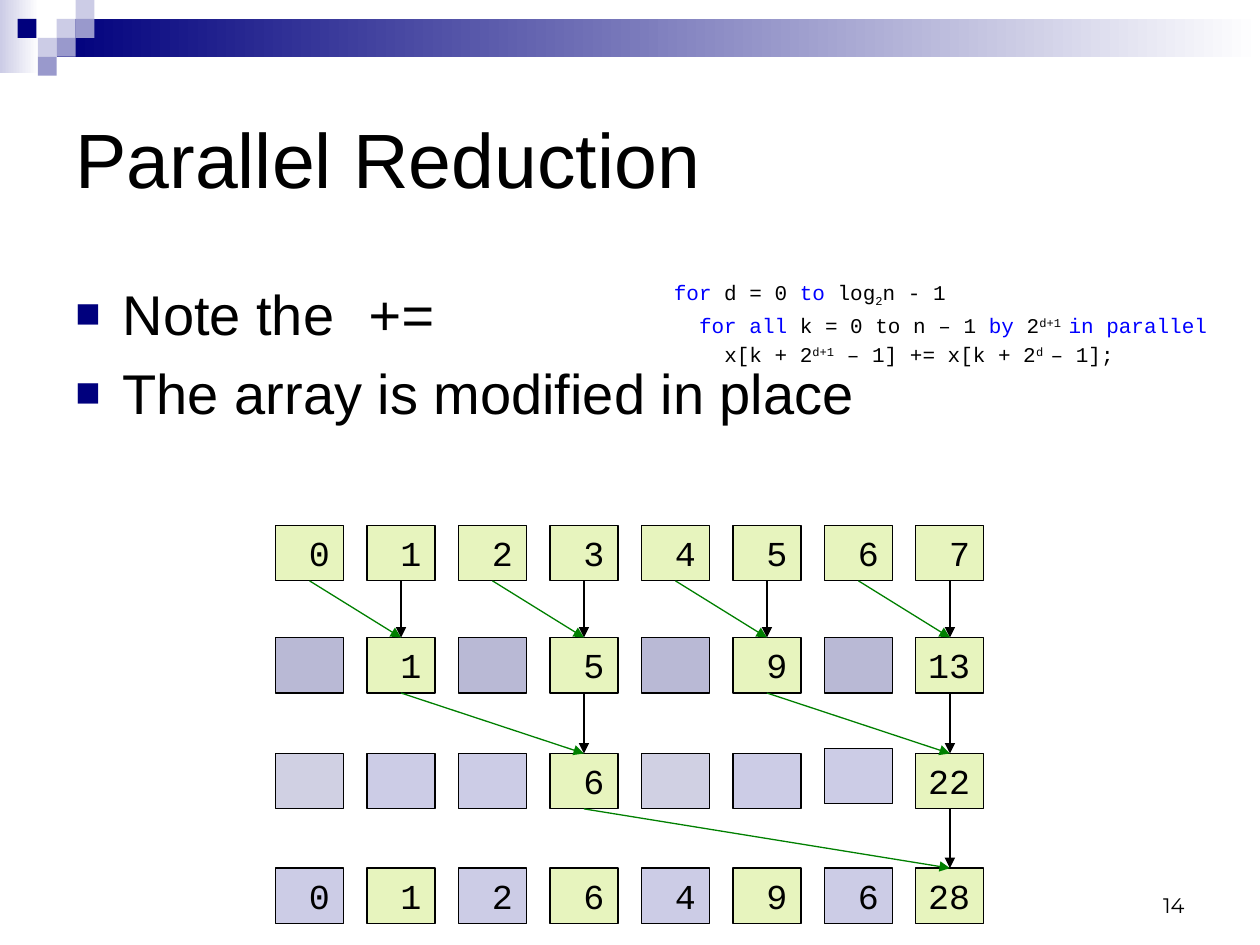
from lxml.etree import SubElement
from pptx import Presentation
from pptx.dml.color import RGBColor
from pptx.enum.shapes import MSO_CONNECTOR, MSO_SHAPE
from pptx.enum.text import MSO_ANCHOR, MSO_AUTO_SIZE, PP_ALIGN
from pptx.oxml.ns import qn
from pptx.util import Inches, Pt

BLACK = RGBColor(0x00, 0x00, 0x00)
WHITE = RGBColor(0xFF, 0xFF, 0xFF)
NAVY = RGBColor(0x00, 0x00, 0x7D)
PERIWINKLE = RGBColor(0x99, 0x99, 0xCC)
LAVENDER = RGBColor(0xCC, 0xCC, 0xE6)
PALE = RGBColor(0xD0, 0xD0, 0xE3)
DUSK = RGBColor(0xB9, 0xB9, 0xD5)
LIME = RGBColor(0xE7, 0xF4, 0xBE)
GREEN = RGBColor(0x00, 0x80, 0x00)
BLUE = RGBColor(0x00, 0x00, 0xFF)

# The slide is a grid of 100 columns by 75 rows
COLUMNS, ROWS = 100, 75
SANS, MONO = "Arial", "Courier New"


def set_all(target, values):
    for name, value in values.items():
        setattr(target, name, value)


class SlideBuilder:
    line_width = Pt(0.75)

    def __init__(self, presentation):
        self.slide = presentation.slides.add_slide(presentation.slide_layouts[6])
        self.column = presentation.slide_width / COLUMNS
        self.row = presentation.slide_height / ROWS

    def place(self, *lengths):
        units = (self.column, self.row) * 2
        return [round(length * unit) for length, unit in zip(lengths, units)]

    def box(self, area, fill, end_fill=None, outline=None):
        shape = self.slide.shapes.add_shape(MSO_SHAPE.RECTANGLE, *self.place(*area))
        shape.shadow.inherit = False
        if end_fill is None:
            shape.fill.solid()
            shape.fill.fore_color.rgb = fill
        else:
            shape.fill.gradient()
            shape.fill.gradient_angle = 0
            for stop, color, position in zip(shape.fill.gradient_stops, (fill, end_fill), (0, 1)):
                stop.color.rgb = color
                stop.position = position
        if outline is None:
            shape.line.fill.background()
        else:
            shape.line.color.rgb = outline
            shape.line.width = self.line_width
        return shape

    def cell(self, area, fill, label):
        shape = self.box(area, fill, outline=BLACK)
        if label:
            set_all(shape.text_frame, {"word_wrap": False, "vertical_anchor": MSO_ANCHOR.TOP,
                                       "auto_size": MSO_AUTO_SIZE.SHAPE_TO_FIT_TEXT})
            paragraph = shape.text_frame.paragraphs[0]
            paragraph.alignment = PP_ALIGN.LEFT
            self.run(paragraph, f"{label:>2}", {"size": Pt(20), "name": MONO})

    def run(self, paragraph, text, font, color=BLACK, baseline=0):
        run = paragraph.add_run()
        run.text = text
        set_all(run.font, font)
        run.font.color.rgb = color
        if baseline:
            run.font._element.set("baseline", str(baseline * 1000))

    def text(self, area, font, lines, anchor=MSO_ANCHOR.TOP, align=PP_ALIGN.LEFT, styles=()):
        frame = self.slide.shapes.add_textbox(*self.place(*area)).text_frame
        set_all(frame, {"word_wrap": True, "vertical_anchor": anchor})
        for index, runs in enumerate(lines):
            paragraph = frame.add_paragraph() if index else frame.paragraphs[0]
            paragraph.alignment = align
            if styles:
                self.paragraph_style(paragraph, **styles[index])
            for text, *options in runs:
                extra = dict(options[0]) if options else {}
                self.run(paragraph, text, font | extra.pop("font", {}), **extra)

    def paragraph_style(self, paragraph, margin=0, hanging=0, bullet=None):
        properties = paragraph._p.get_or_add_pPr()
        properties.set("marL", str(round(margin * self.column)))
        properties.set("indent", str(round(-hanging * self.column)))
        before = SubElement(properties, qn("a:spcBef"))
        SubElement(before, qn("a:spcPct"), val="20000")
        if bullet:
            color = SubElement(properties, qn("a:buClr"))
            SubElement(color, qn("a:srgbClr"), val=str(NAVY))
            SubElement(properties, qn("a:buSzPct"), val="75000")
            SubElement(properties, qn("a:buFont"), typeface=SANS)
            SubElement(properties, qn("a:buChar"), char=bullet)

    def arrow(self, start, end, color):
        connector = self.slide.shapes.add_connector(
            MSO_CONNECTOR.STRAIGHT, *self.place(*start, *end))
        connector.line.color.rgb = color
        connector.line.width = self.line_width
        properties = connector.element.spPr
        SubElement(properties.find(qn("a:ln")), qn("a:tailEnd"), type="triangle")
        SubElement(properties, qn("a:effectLst"))


presentation = Presentation()
presentation.slide_width, presentation.slide_height = Inches(10), Inches(7.5)
builder = SlideBuilder(presentation)

# Header band and its checkered squares
builder.box((0, 0, 3.1, 5.8), LAVENDER, WHITE)
builder.box((4.5, 1.5, 95.5, 3), NAVY, WHITE)
SQUARE = 1.5
for column, row, color in [(3, 1, LAVENDER), (4, 0, LAVENDER), (4, 1, PERIWINKLE),
                           (2, 2, LAVENDER), (0.93, 1, NAVY), (3, 2, PERIWINKLE),
                           (2, 3, PERIWINKLE)]:
    builder.box((column * SQUARE, row * SQUARE, SQUARE, SQUARE), color)

# Title, bullets and slide number
bullet_style = {"margin": 3.75, "hanging": 3.75, "bullet": "■"}
builder.text((5, 21.7, 90, 6.8), {"size": Pt(32), "name": SANS},
             [[("Note the",), (" +=", {"font": {"name": MONO}})],
              [("The array is modified in place",)]], styles=[bullet_style] * 2)
builder.text((5, 5, 90, 15), {"size": Pt(44), "name": SANS},
             [[("Parallel Reduction",)]], MSO_ANCHOR.MIDDLE)
builder.text((71.7, 68.3, 23.3, 5), {"size": Pt(12), "name": "Montserrat"},
             [[("14",)]], MSO_ANCHOR.BOTTOM, PP_ALIGN.RIGHT)

# Pseudocode, each level indented by two characters
keyword, raised, lowered = {"color": BLUE}, {"baseline": 30}, {"baseline": -25}
builder.text(
    (52.5, 21.7, 45.7, 10.8), {"size": Pt(12), "name": MONO},
    [[("for", keyword), (" d = 0 ",), ("to ", keyword), ("log",), ("2", lowered), ("n - 1",)],
     [("for all ", keyword), ("k = 0 to n – 1 ",), ("by", keyword), (" 2",),
      ("d+1 ", raised), ("in parallel", keyword)],
     [("x[k + 2",), ("d+1", raised), (" – 1] += x[k + 2",), ("d ", raised), ("– 1];",)]],
    styles=[{"margin": 2 * level} for level in range(3)])

# Array cells, one row for each step of the reduction
LEFT, PITCH, CELL_WIDTH, CELL_HEIGHT = 21.87, 7.26, 5.4, 4.4
TOPS = [41.7, 50.6, 59.8, 68.9]
LABELS = [range(8), ["", 1, "", 5, "", 9, "", 13],
          ["", "", "", 6, "", "", "", 22], [0, 1, 2, 6, 4, 9, 6, 28]]
FILLS = [[LIME] * 8, [DUSK, LIME] * 4,
         [PALE, LAVENDER, LAVENDER, LIME] * 2, [LAVENDER, LIME] * 4]
LIFTS = {(2, 6): 0.4}
for step, (top, labels, fills) in enumerate(zip(TOPS, LABELS, FILLS)):
    for index, (label, fill) in enumerate(zip(labels, fills)):
        area = (LEFT + index * PITCH, top - LIFTS.get((step, index), 0), CELL_WIDTH, CELL_HEIGHT)
        builder.cell(area, fill, str(label))

# Arrows from both addends of each sum
for step in range(3):
    stride = 2 ** (step + 1)
    for first in range(0, 8, stride):
        target = first + stride - 1
        for source, color in [(target, BLACK), (first + stride // 2 - 1, GREEN)]:
            start_x, end_x = (LEFT + CELL_WIDTH / 2 + index * PITCH for index in (source, target))
            builder.arrow((start_x, TOPS[step] + CELL_HEIGHT), (end_x, TOPS[step + 1]), color)

presentation.save("out.pptx")
